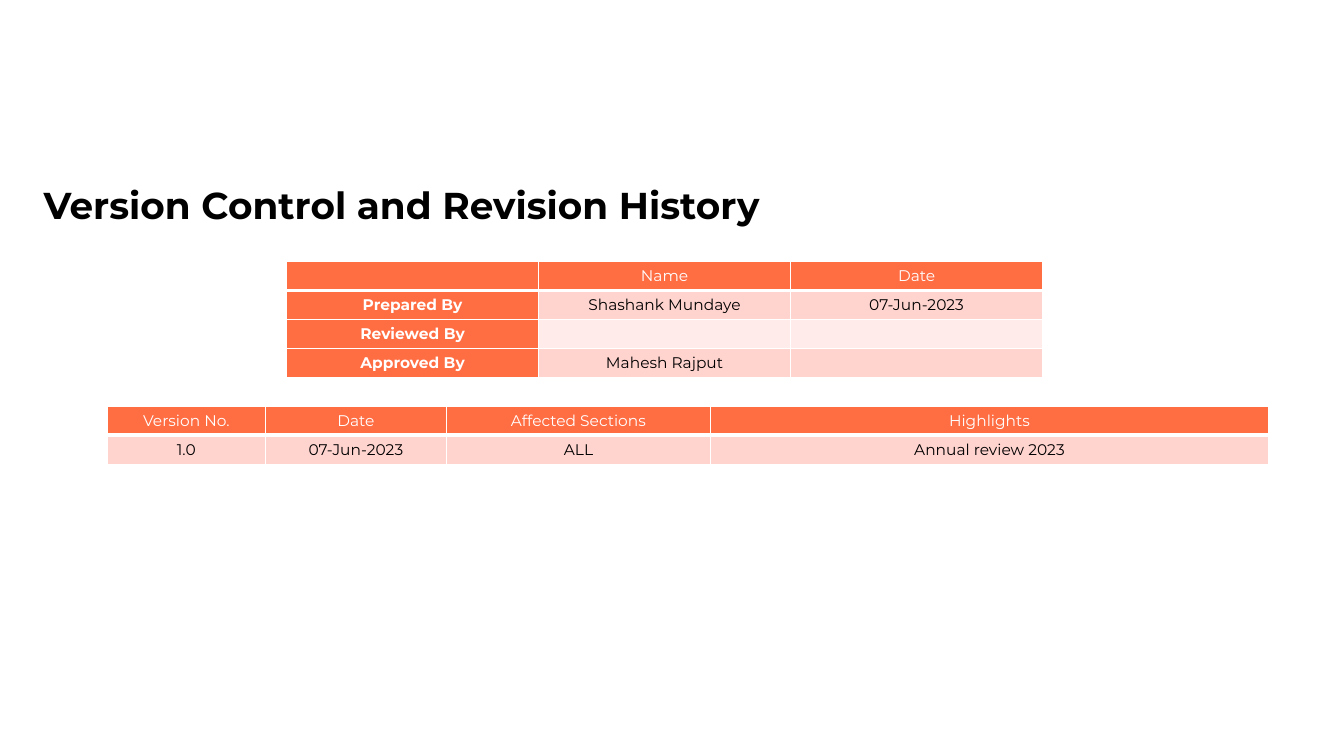
from dataclasses import dataclass

from lxml import etree
from pptx import Presentation
from pptx.dml.color import RGBColor
from pptx.enum.text import MSO_ANCHOR, MSO_AUTO_SIZE, PP_ALIGN
from pptx.oxml.ns import qn
from pptx.slide import Slide
from pptx.table import _Cell
from pptx.util import Emu, Pt

ANCHOR_TOP = MSO_ANCHOR.TOP
ANCHOR_MIDDLE = MSO_ANCHOR.MIDDLE
ALIGN_LEFT = PP_ALIGN.LEFT
ALIGN_CENTER = PP_ALIGN.CENTER
NO_AUTOFIT = MSO_AUTO_SIZE.NONE

EMU_PER_PX = 9525
EMU_PER_POINT = 12700
TITLE_ONLY_LAYOUT = 5
ROW_HEIGHT = 27
FONT = "Montserrat"
CELL_POINTS = 11
COLORS = {
    "black": "000000",
    "white": "FFFFFF",
    "orange": "FF6D43",
    "pink": "FFD4CF",
    "pale": "FFEBE9",
}


@dataclass(frozen=True)
class TableSpec:
    left: int
    top: int
    widths: tuple[int, ...]
    rows: tuple[tuple[str, ...], ...]
    has_label_column: bool


TABLES = (
    TableSpec(
        273, 249, (240, 240, 240),
        (
            ("", "Name", "Date"),
            ("Prepared By", "Shashank Mundaye", "07-Jun-2023"),
            ("Reviewed By", "", ""),
            ("Approved By", "Mahesh Rajput", ""),
        ),
        True,
    ),
    TableSpec(
        102, 387, (151, 172, 252, 531),
        (
            ("Version No.", "Date", "Affected Sections", "Highlights"),
            ("1.0", "07-Jun-2023", "ALL", "Annual review 2023"),
        ),
        False,
    ),
)


def px(length: int) -> Emu:
    return Emu(length * EMU_PER_PX)


def color(name: str) -> RGBColor:
    return RGBColor.from_string(COLORS[name])


def add_span(para, text: str, points: float, color_name: str, bold: bool) -> None:
    span = para.add_run()
    span.text = text
    span.font.name = FONT
    span.font.size = Pt(points)
    span.font.bold = bold
    span.font.color.rgb = color(color_name)


def add_borders(cell: _Cell, bottom_points: int) -> None:
    properties = cell._tc.get_or_add_tcPr()
    for side, points in (("L", 1), ("R", 1), ("T", 1), ("B", bottom_points)):
        line = etree.SubElement(
            properties, qn(f"a:ln{side}"), w=str(points * EMU_PER_POINT)
        )
        fill = etree.SubElement(line, qn("a:solidFill"))
        etree.SubElement(fill, qn("a:srgbClr"), val=COLORS["white"])


def format_cell(cell: _Cell, text: str, is_header: bool, is_label: bool, band: str) -> None:
    is_orange = is_header or is_label
    add_borders(cell, 3 if is_header else 1)
    cell.fill.solid()
    cell.fill.fore_color.rgb = color("orange" if is_orange else band)
    cell.vertical_anchor = ANCHOR_MIDDLE
    para = cell.text_frame.paragraphs[0]
    para.alignment = ALIGN_CENTER
    if text:
        text_color = "white" if is_orange else "black"
        add_span(para, text, CELL_POINTS, text_color, is_label and not is_header)
    else:
        etree.SubElement(para._p, qn("a:endParaRPr"), sz=str(CELL_POINTS * 100))


def add_table(page: Slide, spec: TableSpec) -> None:
    frame = page.shapes.add_table(
        len(spec.rows), len(spec.widths), px(spec.left), px(spec.top),
        px(sum(spec.widths)), px(ROW_HEIGHT * len(spec.rows)),
    )
    table = frame.table
    table.horz_banding = False
    table.first_row = True
    table.first_col = spec.has_label_column
    for column, width in zip(table.columns, spec.widths):
        column.width = px(width)
    for row_index, texts in enumerate(spec.rows):
        table.rows[row_index].height = px(ROW_HEIGHT)
        band = "pink" if row_index % 2 else "pale"
        for column_index, text in enumerate(texts):
            is_label = spec.has_label_column and column_index == 0
            cell = table.cell(row_index, column_index)
            format_cell(cell, text, row_index == 0, is_label, band)


def add_title(page: Slide, text: str) -> None:
    box = page.shapes.title
    box.left, box.top, box.width, box.height = px(32), px(169), px(1201), px(80)
    frame = box.text_frame
    frame.word_wrap = True
    frame.auto_size = NO_AUTOFIT
    frame.vertical_anchor = ANCHOR_TOP
    para = frame.paragraphs[0]
    para.alignment = ALIGN_LEFT
    add_span(para, text, 26.7, "black", True)


def main() -> None:
    deck = Presentation()
    deck.slide_width, deck.slide_height = px(1280), px(720)
    page = deck.slides.add_slide(deck.slide_layouts[TITLE_ONLY_LAYOUT])
    add_title(page, "Version Control and Revision History")
    for spec in TABLES:
        add_table(page, spec)
    deck.save("out.pptx")


if __name__ == "__main__":
    main()
